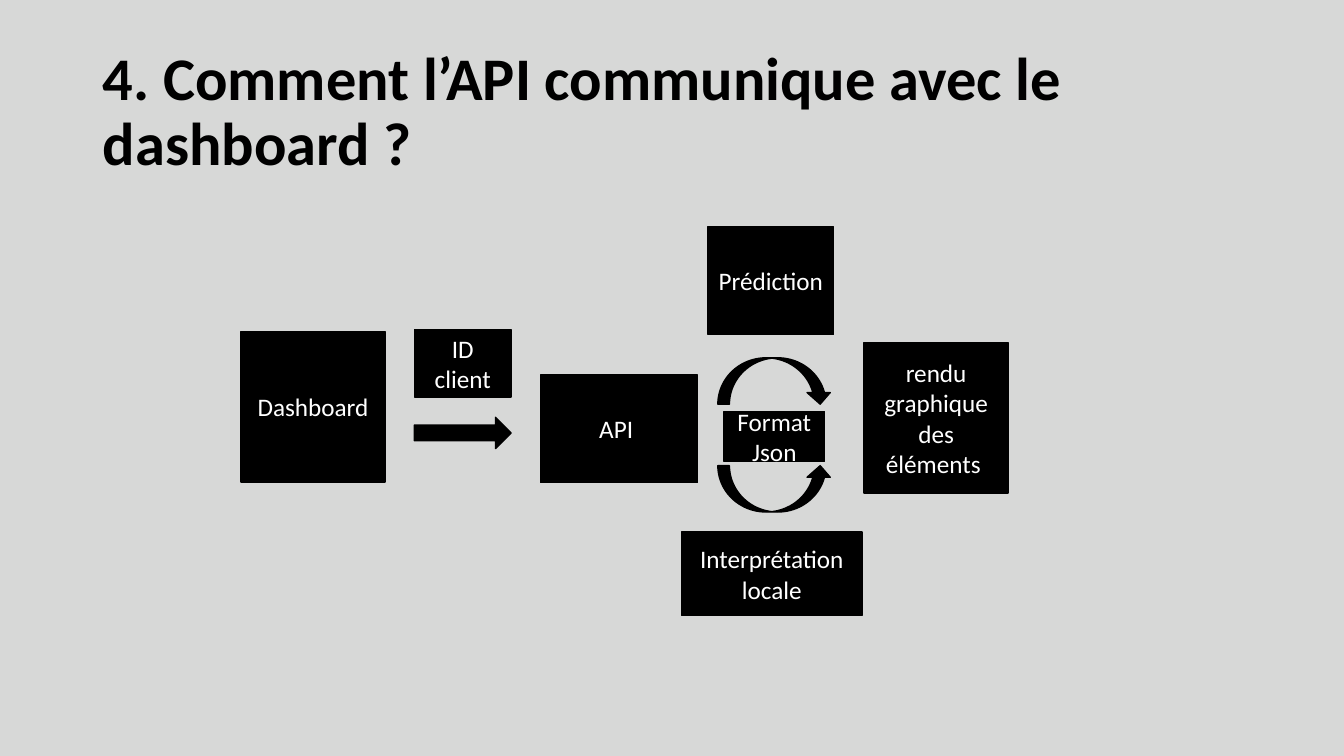
from dataclasses import dataclass

from pptx import Presentation
from pptx.dml.color import RGBColor
from pptx.enum.shapes import MSO_SHAPE
from pptx.enum.text import MSO_ANCHOR, MSO_AUTO_SIZE, PP_ALIGN
from pptx.util import Inches, Pt

RECT = MSO_SHAPE.RECTANGLE
RIGHT_ARROW = MSO_SHAPE.RIGHT_ARROW
CURVED_UP = MSO_SHAPE.CURVED_UP_ARROW
CURVED_DOWN = MSO_SHAPE.CURVED_DOWN_ARROW
MIDDLE = MSO_ANCHOR.MIDDLE
NO_AUTOFIT = MSO_AUTO_SIZE.NONE
LEFT, CENTER = PP_ALIGN.LEFT, PP_ALIGN.CENTER
TITLE_ONLY = 5


@dataclass(frozen=True)
class Theme:
    font: str = "Calibri"
    ink: RGBColor = RGBColor(0x00, 0x00, 0x00)
    paper: RGBColor = RGBColor(0xD7, 0xD8, 0xD7)
    label: RGBColor = RGBColor(0xFF, 0xFF, 0xFF)
    title_size: Pt = Pt(43.2)
    label_size: Pt = Pt(18)
    outline: Pt = Pt(1)


THEME = Theme()

# Label, left, top, width, height
STEPS = [
    ("Dashboard", 2.39, 3.29, 1.43, 1.49),
    ("API ", 5.36, 3.72, 1.56, 1.07),
    ("ID client", 4.11, 3.27, 0.96, 0.67),
    ("Prédiction", 7.02, 2.25, 1.25, 1.07),
    ("rendu graphique des éléments ", 8.57, 3.4, 1.43, 1.49),
    ("Interprétation locale", 6.76, 5.28, 1.79, 0.83),
    ("Format Json", 7.18, 4.08, 1, 0.5),
]

# Preset, left, top, width, height
ARROWS = [
    (RIGHT_ARROW, 4.11, 4.14, 0.96, 0.31),
    (CURVED_UP, 7.12, 4.62, 1.13, 0.46),
    (CURVED_DOWN, 7.12, 3.55, 1.13, 0.46),
]


def add_solid(slide, preset, bounds, color):
    """Add a preset shape with matching fill and outline."""
    solid = slide.shapes.add_shape(preset, *map(Inches, bounds))
    solid.shadow.inherit = False
    solid.fill.solid()
    solid.fill.fore_color.rgb = color
    solid.line.color.rgb = color
    solid.line.width = THEME.outline
    return solid


def write(frame, text, size, color, align, bold=False):
    """Write one wrapped, vertically centred paragraph."""
    frame.word_wrap = True
    frame.auto_size = NO_AUTOFIT
    frame.vertical_anchor = MIDDLE
    paragraph = frame.paragraphs[0]
    paragraph.alignment = align
    run = paragraph.add_run()
    run.text = text
    run.font.name = THEME.font
    run.font.size = size
    run.font.bold = bold
    run.font.color.rgb = color
    return paragraph


def add_backdrop(slide, width, height):
    """Cover the slide in grey, behind everything else."""
    backdrop = add_solid(slide, RECT, (0, 0, width, height), THEME.paper)
    slide.shapes.element.insert(2, backdrop.element)


def set_title(slide, text):
    title = slide.shapes.title
    title.left, title.top = Inches(0.92), Inches(0.4)
    title.width, title.height = Inches(11.5), Inches(1.45)
    heading = write(title.text_frame, text, THEME.title_size, THEME.ink, LEFT, bold=True)
    heading.line_spacing = 0.9


def add_step(slide, label, *bounds):
    step = add_solid(slide, RECT, bounds, THEME.ink)
    write(step.text_frame, label, THEME.label_size, THEME.label, CENTER)


def main():
    width, height = 13.33, 7.5
    deck = Presentation()
    deck.slide_width, deck.slide_height = Inches(width), Inches(height)
    slide = deck.slides.add_slide(deck.slide_layouts[TITLE_ONLY])

    # Backdrop and title
    add_backdrop(slide, width, height)
    set_title(slide, "4. Comment l’API communique avec le dashboard ?")

    # Flow from dashboard to rendering
    for preset, *bounds in ARROWS:
        add_solid(slide, preset, bounds, THEME.ink)
    for step in STEPS:
        add_step(slide, *step)

    deck.save("out.pptx")


if __name__ == "__main__":
    main()
